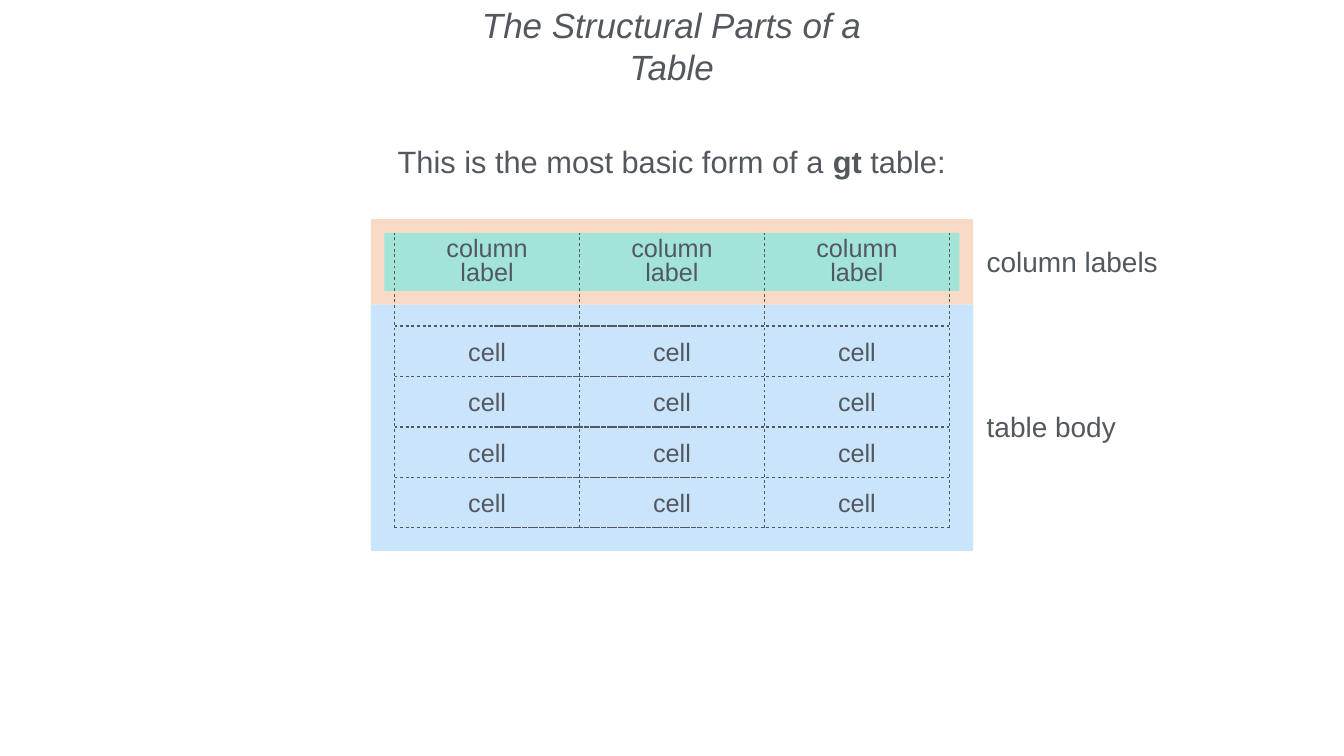
from lxml import etree
from pptx import Presentation
from pptx.dml.color import RGBColor
from pptx.enum.shapes import MSO_CONNECTOR as CONN, MSO_SHAPE as SHAPE
from pptx.enum.text import MSO_ANCHOR as ANCHOR, PP_ALIGN as ALIGN
from pptx.oxml.ns import qn
from pptx.util import Inches, Pt

THEME = {
    "font": "Arial", "ink": "53585F", "body": "CAE4FC", "header": "F9DAC6",
    "labels": "A2E5D8", "title": 50, "intro": 44, "side": 40, "cell": 36, "rule": 2,
}
TITLE = [[("The Structural Parts of a Table", {"italic": True})]]
INTRO = [[("This is the most basic form of a ", {}), ("gt", {"bold": True}), (" table:", {})]]
SIDE_LABELS = [("column labels", 4.8), ("table body", 8.07)]
HEADINGS = [("column", "label")] * 3
ROWS = [["cell"] * 3 for _ in range(4)]
BANDS = [
    ("body", (7.36, 6.04, 11.95, 4.89)),
    ("header", (7.36, 4.35, 11.95, 1.69)),
    ("labels", (7.63, 4.62, 11.41, 1.15)),
]
GRID_LEFT, GRID_TOP, COL_W = 7.83, 6.47, 3.67
ROW_H = 1.0
LABEL_TOP = 4.63
CELL_W, CELL_H, HEADING_H = 2.05, 0.71, 1.19
OVERLAY = (9.8, 13.87)


def add_band(slide, color, box):
    s = slide.shapes.add_shape(SHAPE.RECTANGLE, *map(Inches, box))
    s.shadow.inherit = False
    s.fill.solid()
    s.fill.fore_color.rgb = RGBColor.from_string(THEME[color])
    s.line.fill.background()


def add_rule(slide, x1, y1, x2, y2):
    s = slide.shapes.add_connector(CONN.STRAIGHT, *map(Inches, (x1, y1, x2, y2)))
    s.line.color.rgb = RGBColor.from_string(THEME["ink"])
    s.line.width = Pt(THEME["rule"])
    dash = etree.SubElement(s.line._get_or_add_ln(), qn("a:custDash"))
    etree.SubElement(dash, qn("a:ds"), d="200000", sp="200000")
    etree.SubElement(s._element.spPr, qn("a:effectLst"))


def add_text(slide, paragraphs, box, size, align=ALIGN.CENTER,
             anchor=ANCHOR.MIDDLE, wrap=True, spacing=None):
    tf = slide.shapes.add_textbox(*map(Inches, box)).text_frame
    frame = {"word_wrap": wrap, "vertical_anchor": anchor}
    frame.update({f"margin_{side}": Inches(0.06) for side in ("left", "top", "right", "bottom")})
    for name, value in frame.items():
        setattr(tf, name, value)
    for i, runs in enumerate(paragraphs):
        p = tf.add_paragraph() if i else tf.paragraphs[0]
        p.alignment, p.line_spacing = align, spacing
        for text, style in runs:
            r = p.add_run()
            r.text = text
            r.font.color.rgb = RGBColor.from_string(THEME["ink"])
            for name, value in {"name": THEME["font"], "size": Pt(THEME[size]), **style}.items():
                setattr(r.font, name, value)


def cell_left(col):
    return GRID_LEFT + (col + 0.5) * COL_W - CELL_W / 2


def main():
    prs = Presentation()
    prs.slide_width, prs.slide_height = Inches(26.67), Inches(15)
    slide = prs.slides.add_slide(prs.slide_layouts[6])

    for color, box in BANDS:
        add_band(slide, color, box)

    right = GRID_LEFT + len(HEADINGS) * COL_W
    bottom = GRID_TOP + len(ROWS) * ROW_H
    for col in range(len(HEADINGS) + 1):
        x = GRID_LEFT + col * COL_W
        add_rule(slide, x, bottom, x, LABEL_TOP)
    for start, end in ((GRID_LEFT, right), OVERLAY):
        for row in range(len(ROWS) + 1):
            y = GRID_TOP + row * ROW_H
            add_rule(slide, start, y, end, y)

    for text, top in SIDE_LABELS:
        add_text(slide, [[(text, {})]], (19.52, top, 3.93, 0.78), "side", ALIGN.LEFT)
    for row, cells in enumerate(ROWS):
        top = GRID_TOP + row * ROW_H + (ROW_H - CELL_H) / 2
        for col, text in enumerate(cells):
            add_text(slide, [[(text, {})]], (cell_left(col), top, CELL_W, CELL_H), "cell")
    for col, words in enumerate(HEADINGS):
        add_text(slide, [[(word, {})] for word in words],
                 (cell_left(col), 4.6, CELL_W, HEADING_H), "cell", spacing=0.8)

    add_text(slide, TITLE, (8.61, 0.85, 9.44, 0.94), "title", anchor=ANCHOR.BOTTOM, wrap=False)
    add_text(slide, INTRO, (4.3, 2.78, 18.06, 0.85), "intro")
    prs.save("out.pptx")


if __name__ == "__main__":
    main()
